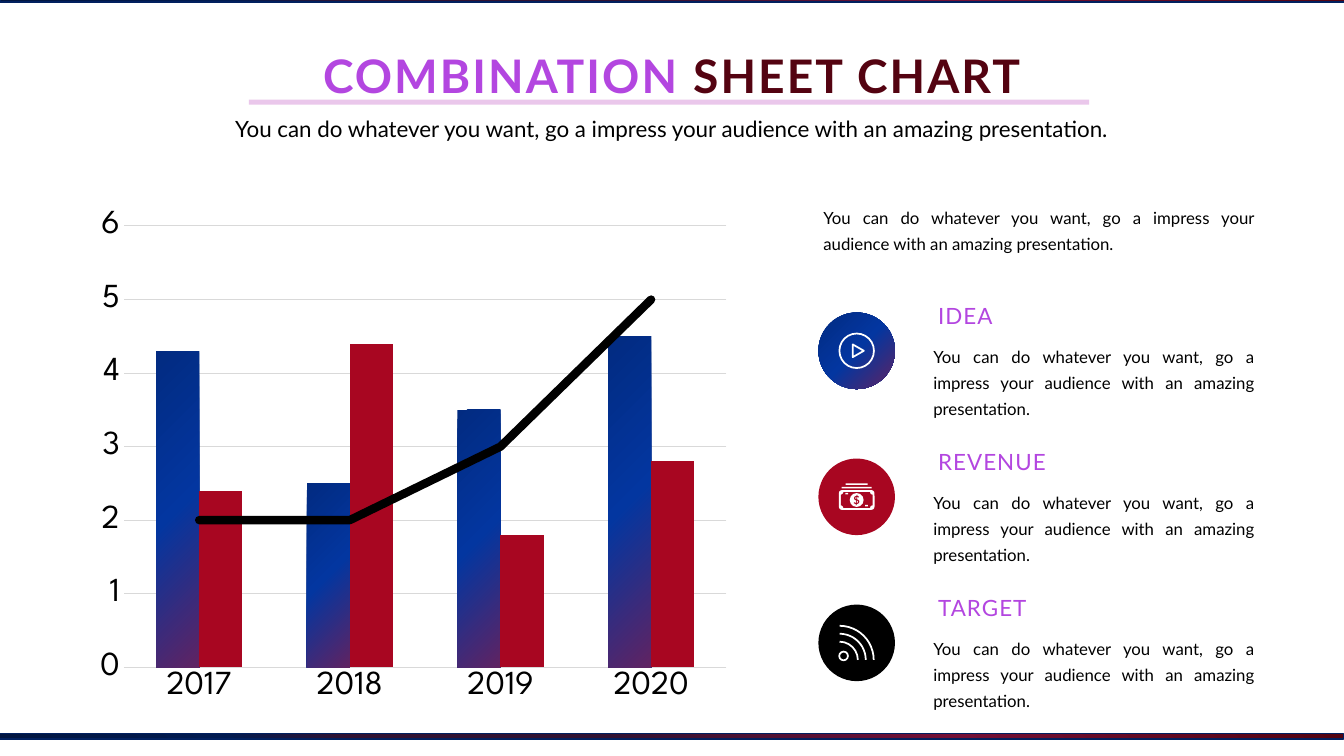
from lxml import etree
from pptx import Presentation
from pptx import util as u
from pptx.chart.data import CategoryChartData
from pptx.dml.color import RGBColor
from pptx.enum import chart as ec, shapes, text
from pptx.oxml import parse_xml
from pptx.oxml.ns import nsdecls, qn

Cm, Pt = u.Cm, u.Pt
MSO = shapes.MSO_SHAPE
PURPLE, MAROON, RED, BLACK, WHITE, GREY = "B346E0", "540311", "A80621", "000000", "FFFFFF", "D9D9D9"
BLUE = [(0, "022B81"), (50, "0336A0"), (100, "602362")]
EDGE = [(0, "540311"), (29, "751035"), (55, "311131"), (74, "301231"), (83, "011B50"), (100, "011540")]
BLURB = "You can do whatever you want, go a impress your audience with an amazing presentation."


def paint(fill, color, angle=45):
    if isinstance(color, str):
        fill.solid()
        fill.fore_color.rgb = RGBColor.from_string(color)
        return
    fill.gradient()
    fill.gradient_angle = 360 - angle
    stops = fill._xPr.find(qn("a:gradFill")).find(qn("a:gsLst"))
    for gs in list(stops):
        stops.remove(gs)
    for pos, value in color:
        gs = etree.SubElement(stops, qn("a:gs"), pos=str(pos * 1000))
        etree.SubElement(gs, qn("a:srgbClr"), val=value)


def write(sp, words, size=12, color=BLACK, bold=False, spacing=0, align="LEFT", anchor="TOP",
          wrap=True, leading=None, before=0, margins=(0.25, 0.13, 0.25, 0.13), grow=True):
    tf = sp.text_frame
    tf.word_wrap = wrap
    tf.auto_size = text.MSO_AUTO_SIZE.SHAPE_TO_FIT_TEXT if grow else text.MSO_AUTO_SIZE.NONE
    tf.vertical_anchor = text.MSO_ANCHOR[anchor]
    tf.margin_left, tf.margin_top, tf.margin_right, tf.margin_bottom = map(Cm, margins)
    p = tf.paragraphs[0]
    p.alignment = text.PP_ALIGN[align]
    p.space_before = Pt(before)
    if leading:
        p.line_spacing = Pt(leading)
    r = p.add_run()
    r.text = words
    r.font.name, r.font.size, r.font.bold = "Lato", Pt(size), bold
    paint(r.font.fill, color)
    if spacing:
        r.font._element.set("spc", str(int(spacing * 100)))


prs = Presentation()
prs.slide_width, prs.slide_height = Cm(33.87), Cm(19.05)
s = prs.slides.add_slide(prs.slide_layouts[5])

for x, y in [(-0.1, 18.49), (0, -0.08)]:
    sp = s.shapes.add_shape(MSO.RECTANGLE, Cm(x), Cm(y), Cm(33.96), Cm(0.13))
    sp.shadow.inherit = False
    paint(sp.fill, EDGE, 130)
    paint(sp.line.fill, "01205F")
    sp.line.width = Pt(1)

title = s.shapes.title
title.left, title.top, title.width, title.height = Cm(7.62), Cm(1.07), Cm(18.62), Cm(1.68)
for words, color in [("COMBINATION ", PURPLE), ("SHEET CHART", MAROON)]:
    write(title, words, size=33, color=color, bold=True, spacing=1.5, align="CENTER", wrap=False)

sp = s.shapes.add_shape(MSO.RECTANGLE, Cm(6.27), Cm(2.51), Cm(21.18), Cm(0.13))
sp.shadow.inherit = False
paint(sp.fill, "EAC7EB")
sp.line.fill.background()

sp = s.shapes.add_textbox(Cm(2.11), Cm(2.79), Cm(29.64), Cm(0.94))
write(sp, BLURB, size=16, align="CENTER", leading=18.5)

data = CategoryChartData()
data.categories = ["2017", "2018", "2019", "2020"]
data.add_series("Series 1", (4.3, 2.5, 3.5, 4.5))
data.add_series("Series 2", (2.4, 4.4, 1.8, 2.8))
data.add_series("Series 3", (2, 2, 3, 5))
chart = s.shapes.add_chart(ec.XL_CHART_TYPE.COLUMN_CLUSTERED, Cm(2.13), Cm(5.05),
                           Cm(16.51), Cm(12.93), data).chart
chart.has_legend = chart.has_title = False
chart.font.name, chart.font.size = "League Spartan", Pt(24)
paint(chart.font.fill, BLACK)

cat, val = chart.category_axis, chart.value_axis
for axis in (cat, val):
    axis.major_tick_mark = axis.minor_tick_mark = ec.XL_TICK_MARK.NONE
val.minimum_scale, val.maximum_scale, val.major_unit = 0, 6, 1
val.format.line.fill.background()
for line in (cat.format.line, val.major_gridlines.format.line):
    paint(line.fill, GREY)
    line.width = Pt(0.75)

bars = chart.plots[0]
bars.gap_width, bars.overlap, bars.vary_by_categories = 150, 0, False
bar_xml = bars._element
trend = bar_xml.findall(qn("c:ser"))[2]
for flag in trend.findall(qn("c:invertIfNegative")):
    trend.remove(flag)
line_xml = parse_xml(f'<c:lineChart {nsdecls("c")}><c:grouping val="standard"/>'
                     '<c:varyColors val="0"/><c:marker val="1"/></c:lineChart>')
line_xml.insert(2, trend)
for ax in bar_xml.findall(qn("c:axId")):
    etree.SubElement(line_xml, qn("c:axId"), val=ax.get("val"))
bar_xml.addnext(line_xml)

area = bar_xml.getparent()
for old in area.findall(qn("c:layout")):
    area.remove(old)
area.insert(0, parse_xml(
    f'<c:layout {nsdecls("c")}><c:manualLayout><c:layoutTarget val="inner"/>'
    '<c:xMode val="edge"/><c:yMode val="edge"/><c:x val="0.06"/><c:y val="0.05"/>'
    '<c:w val="0.92"/><c:h val="0.86"/></c:manualLayout></c:layout>'))

for ser, color in zip(bars.series, (BLUE, RED)):
    paint(ser.format.fill, color)
    ser.invert_if_negative = False
ser = chart.plots[1].series[0]
ser.smooth = False
ser.marker.style = ec.XL_MARKER_STYLE.NONE
paint(ser.format.line.fill, BLACK)
ser.format.line.width = Pt(6)
ser.format.line._get_or_add_ln().set("cap", "rnd")

body = dict(align="JUSTIFY", leading=18.5, before=2.4, margins=(0.13, 0.08, 0.13, 0.13))
sp = s.shapes.add_textbox(Cm(20.62), Cm(5), Cm(11.13), Cm(1.47))
write(sp, BLURB, **body)

play = [(MSO.OVAL, 0, 0, 0.87, 0.87, 0, None),
        (MSO.ISOSCELES_TRIANGLE, 0.04, 0, 0.32, 0.28, 90, None)]
money = [(MSO.ROUNDED_RECTANGLE, 0, 0.08, 0.9, 0.5, 0, WHITE),
         (MSO.PLAQUE, 0, 0.08, 0.8, 0.4, 0, RED),
         (MSO.RECTANGLE, 0, -0.23, 0.76, 0.04, 0, WHITE),
         (MSO.RECTANGLE, 0, -0.32, 0.56, 0.04, 0, WHITE),
         (MSO.RECTANGLE, -0.25, -0.08, 0.07, 0.04, 0, WHITE),
         (MSO.RECTANGLE, 0.25, 0.22, 0.07, 0.04, 0, WHITE),
         (MSO.OVAL, 0, 0.08, 0.35, 0.35, 0, WHITE)]
signal = [(MSO.ARC, -0.43, 0.43, d, d, 0, None) for d in (0.92, 1.32, 1.72)]
signal.append((MSO.OVAL, -0.33, 0.33, 0.22, 0.22, 0, None))

topics = [("IDEA", 1.96, BLUE, play), ("REVENUE", 3.33, RED, money), ("TARGET", 2.92, BLACK, signal)]
for i, (name, width, color, icon) in enumerate(topics):
    dy = 3.68 * i
    parts = [(MSO.OVAL, 0, 0, 1.93, 1.93, 0, color)] + icon
    for kind, x, y, w, h, turn, fill in parts:
        sp = s.shapes.add_shape(kind, Cm(21.59 + x - w / 2), Cm(8.84 + dy + y - h / 2), Cm(w), Cm(h))
        sp.shadow.inherit = False
        sp.rotation = turn
        if fill:
            paint(sp.fill, fill)
            sp.line.fill.background()
        else:
            sp.fill.background()
            paint(sp.line.fill, WHITE)
            sp.line.width = Pt(1.25)
    if name == "REVENUE":
        write(sp, "$", size=8, color=RED, bold=True, align="CENTER", anchor="MIDDLE",
              wrap=False, margins=(0, 0, 0, 0), grow=False)
    sp = s.shapes.add_textbox(Cm(23.39), Cm(7.47 + dy), Cm(width), Cm(0.94))
    write(sp, name, size=16, color=PURPLE, spacing=0.8, anchor="BOTTOM", wrap=False)
    sp = s.shapes.add_textbox(Cm(23.39), Cm(8.51 + dy), Cm(8.36), Cm(1.47))
    write(sp, BLURB, **body)

prs.save("out.pptx")
